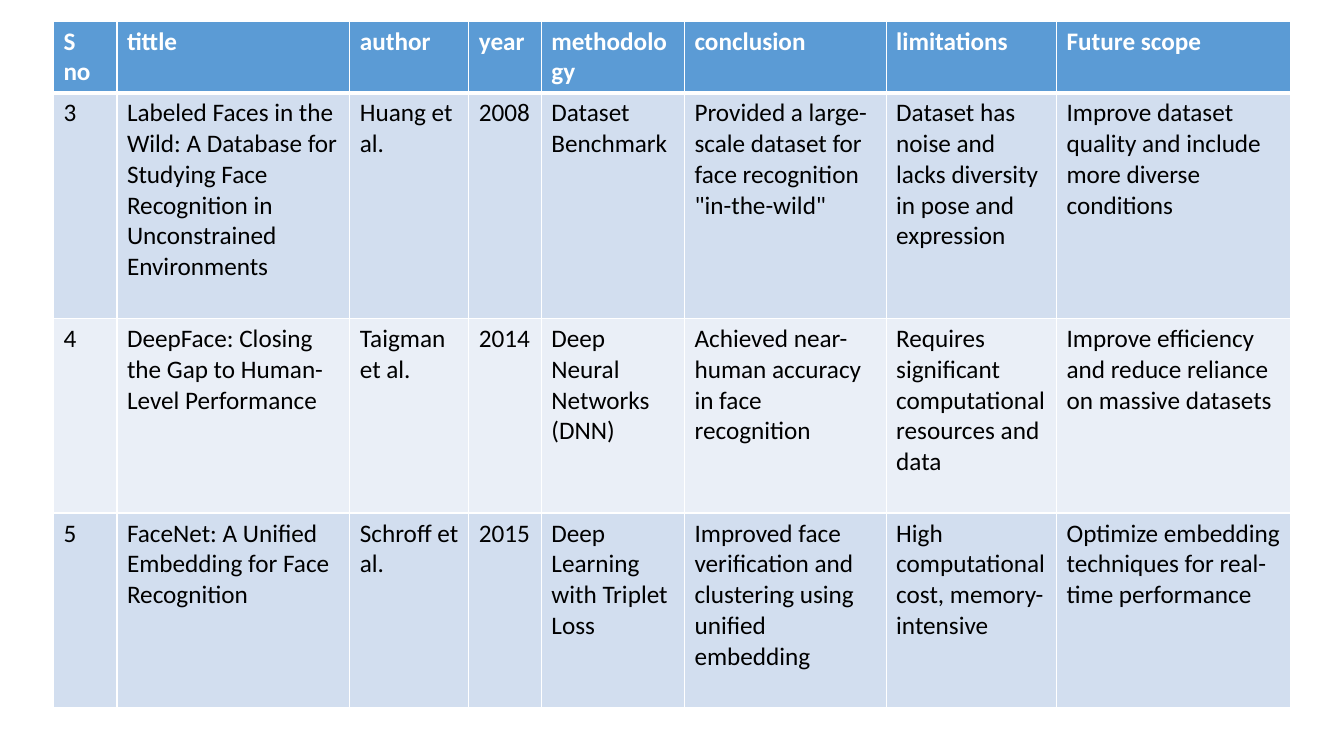
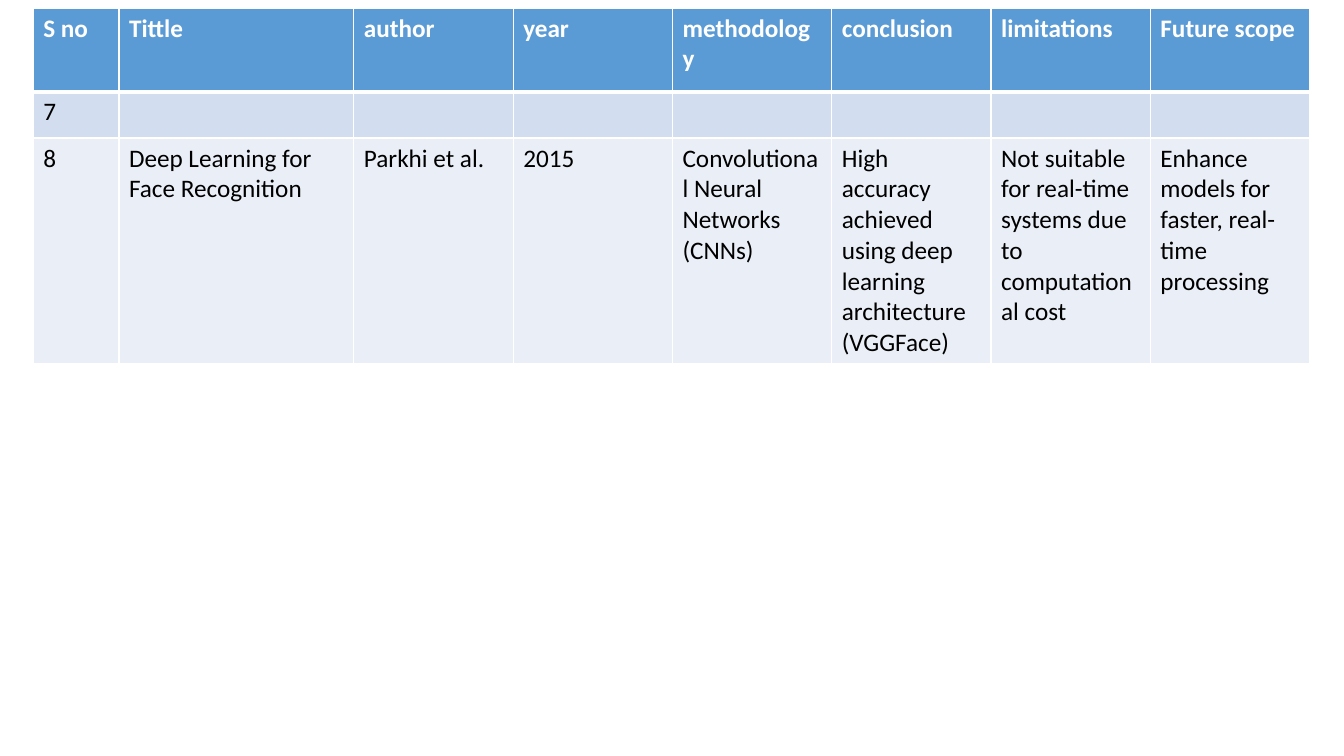
import pptx
import pptx.dml.color
import pptx.oxml
import pptx.oxml.ns
import pptx.util

COLOURS = {
    "header": "5B9BD5",
    "odd": "D2DEEF",
    "even": "EAEFF7",
    "border": "FFFFFF",
    "header_text": "FFFFFF",
    "text": "000000",
}
PX = 9144  # 100 px to the inch


def colour(name):
    return pptx.dml.color.RGBColor.from_string(COLOURS[name])


class SurveyDeck:
    """Holds the table style and the current slide."""

    font_name = "Calibri"
    font_size = 18
    border_width = 1
    header_rule_width = 3

    def __init__(self, width, height):
        self.deck = pptx.Presentation()
        self.deck.slide_width = width * PX
        self.deck.slide_height = height * PX
        self.page = None

    def add_page(self):
        self.page = self.deck.slides.add_slide(self.deck.slide_layouts[6])

    def add_border(self, cell, side, points):
        namespace = pptx.oxml.ns.nsdecls("a")
        line = pptx.oxml.parse_xml(
            f'<a:ln{side} {namespace} w="{pptx.util.Pt(points)}"><a:solidFill>'
            f'<a:srgbClr val="{COLOURS["border"]}"/></a:solidFill></a:ln{side}>'
        )
        cell._tc.get_or_add_tcPr().append(line)

    def style_cell(self, cell, row):
        is_header = row == 0
        # Borders, with a thick rule between the header and the body
        for side in "LRTB":
            thick = (row, side) in ((0, "B"), (1, "T"))
            self.add_border(cell, side, self.header_rule_width if thick else self.border_width)
        # Banded fill
        fill = "header" if is_header else "odd" if row % 2 else "even"
        cell.fill.solid()
        cell.fill.fore_color.rgb = colour(fill)
        # Text
        font = cell.text_frame.paragraphs[0].font
        font.name = self.font_name
        font.size = pptx.util.Pt(self.font_size)
        font.bold = is_header
        font.color.rgb = colour("header_text" if is_header else "text")

    def add_table(self, left, top, widths, heights, rows):
        box = (left, top, sum(widths), sum(heights))
        frame = self.page.shapes.add_table(
            len(heights), len(widths), *(length * PX for length in box)
        )
        table = frame.table
        for column, width in zip(table.columns, widths):
            column.width = width * PX
        for row, height in zip(table.rows, heights):
            row.height = height * PX
        for row_index, texts in enumerate(rows):
            for column_index in range(len(widths)):
                cell = table.cell(row_index, column_index)
                if column_index < len(texts):
                    cell.text = texts[column_index]
                self.style_cell(cell, row_index)

    def save(self):
        self.deck.save("out.pptx")


def header(title):
    return ["S no", title, "author", "year", "methodology",
            "conclusion", "limitations", "Future scope"]


def main():
    survey = SurveyDeck(1333, 750)

    # Papers 3 to 5
    survey.add_page()
    survey.add_table(
        53, 21,
        widths=[63, 231, 118, 72, 142, 200, 169, 232],
        heights=[70, 224, 193, 193],
        rows=[
            header("tittle"),
            ["3",
             "Labeled Faces in the Wild: A Database for Studying Face "
             "Recognition in Unconstrained Environments",
             "Huang et al.", "2008", "Dataset Benchmark",
             'Provided a large-scale dataset for face recognition "in-the-wild"',
             "Dataset has noise and lacks diversity in pose and expression",
             "Improve dataset quality and include more diverse conditions"],
            ["4", "DeepFace: Closing the Gap to Human-Level Performance",
             "Taigman et al.", "2014", "Deep Neural Networks (DNN)",
             "Achieved near-human accuracy in face recognition",
             "Requires significant computational resources and data",
             "Improve efficiency and reduce reliance on massive datasets"],
            ["5", "FaceNet: A Unified Embedding for Face Recognition",
             "Schroff et al.", "2015", "Deep Learning with Triplet Loss",
             "Improved face verification and clustering using unified embedding",
             "High computational cost, memory-intensive",
             "Optimize embedding techniques for real-time performance"],
        ],
    )

    # Papers 7 and 8
    survey.add_page()
    survey.add_table(
        33, 8,
        widths=[85, 233] + [158] * 6,
        heights=[83, 46, 224],
        rows=[
            header("Tittle"),
            ["7"],
            ["8", "Deep Learning for Face Recognition", "Parkhi et al.", "2015",
             "Convolutional Neural Networks (CNNs)",
             "High accuracy achieved using deep learning architecture (VGGFace)",
             "Not suitable for real-time systems due to computational cost",
             "Enhance models for faster, real-time processing"],
        ],
    )
    survey.save()


if __name__ == "__main__":
    main()
